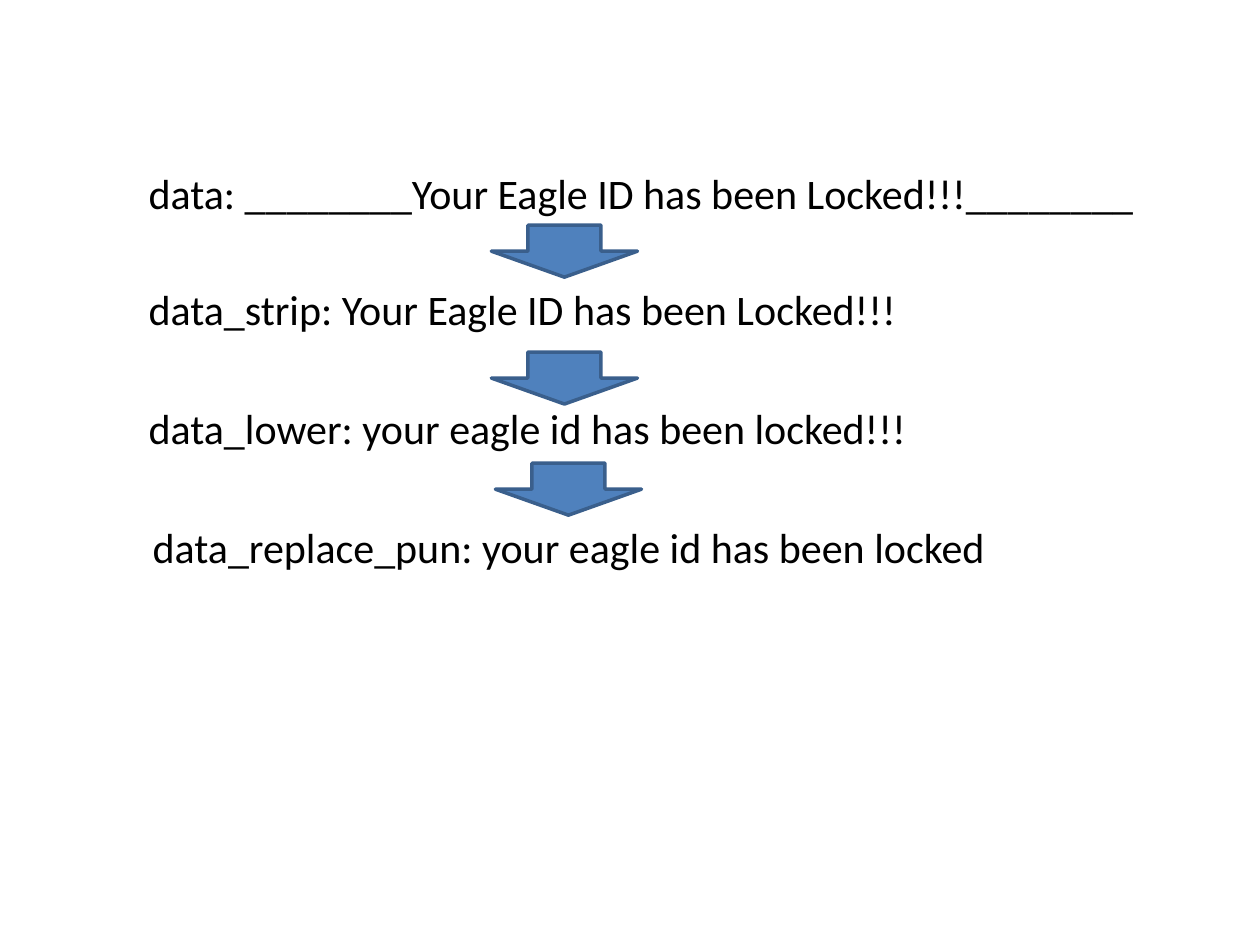
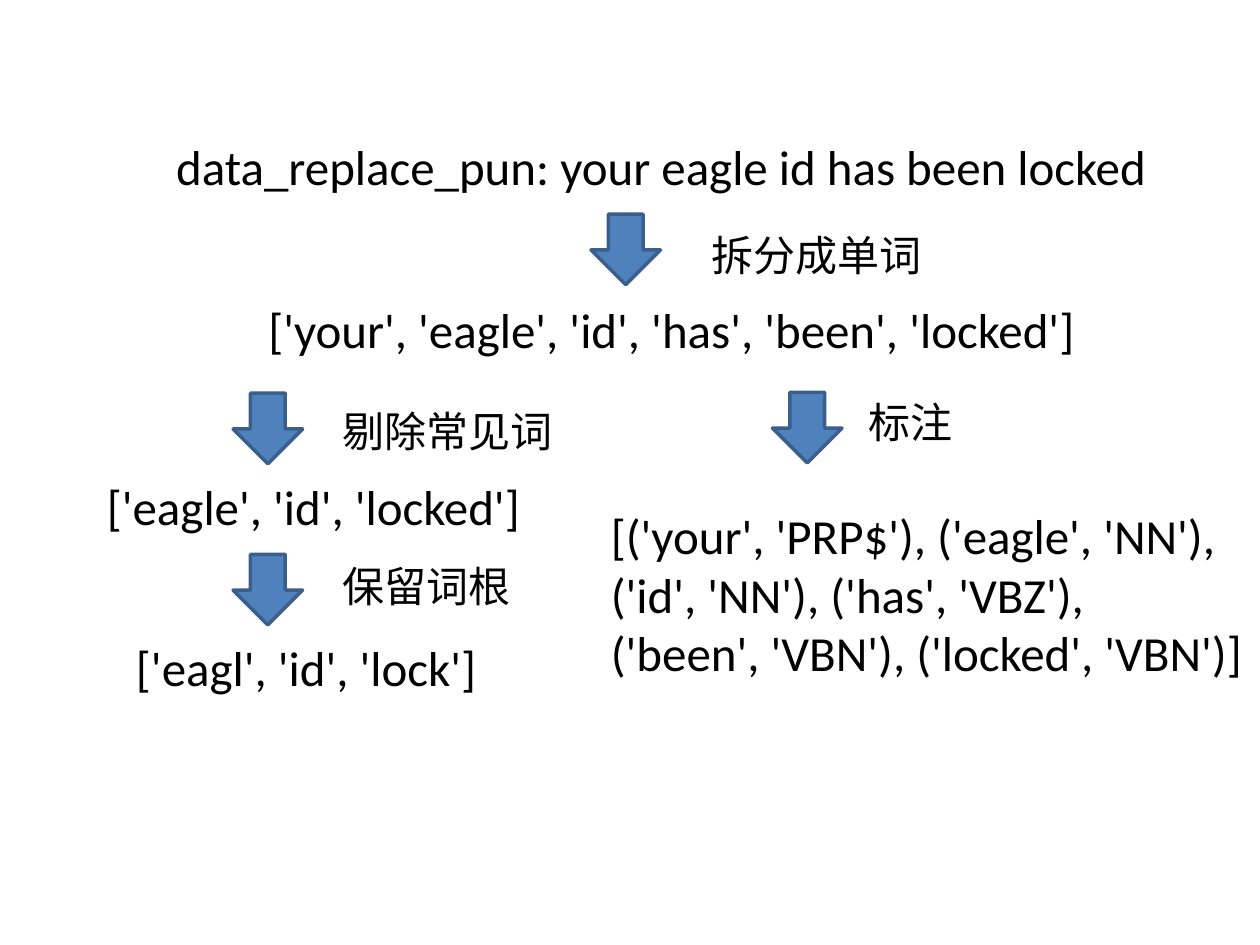
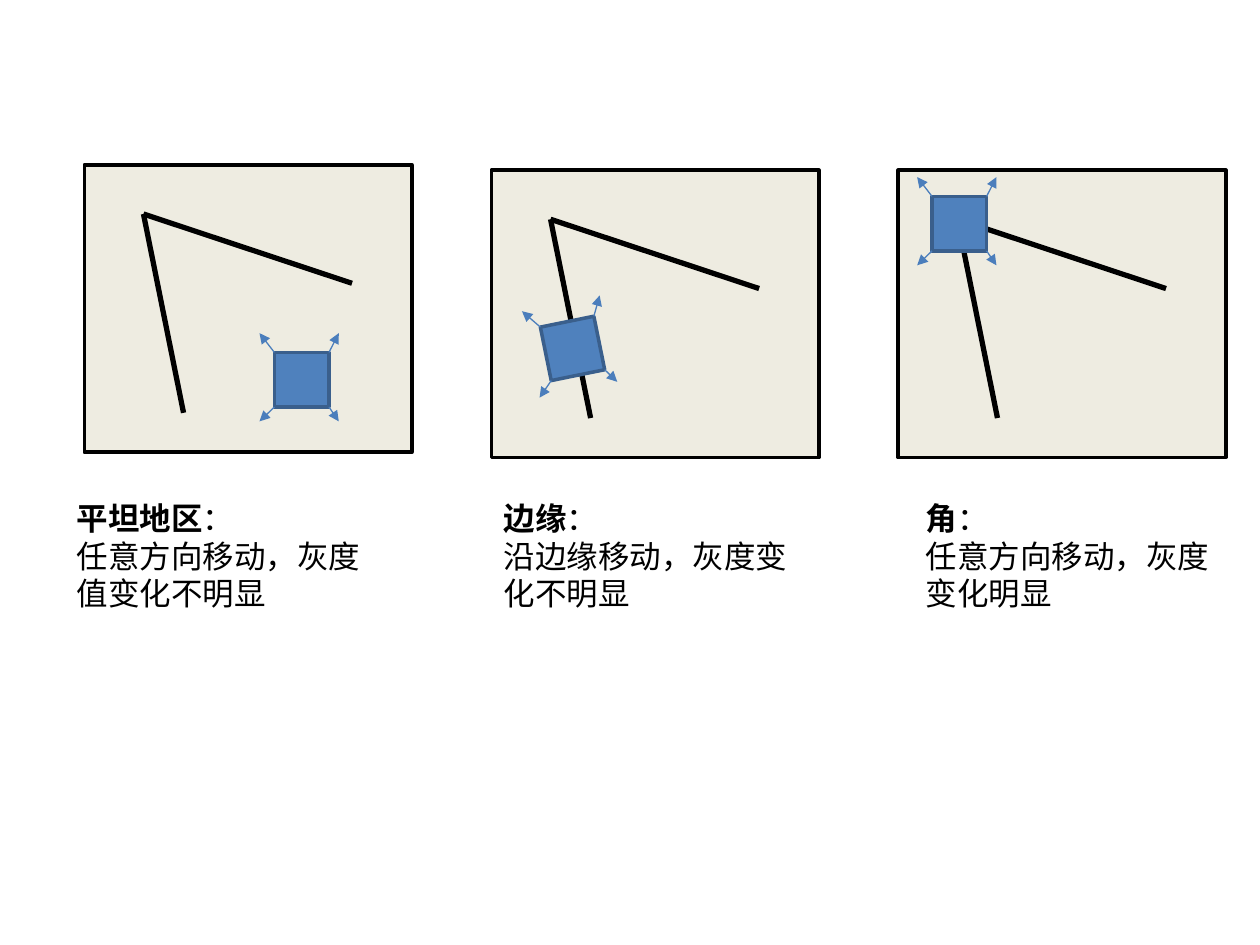
import math

import pptx
import pptx.util
from lxml import etree
from pptx.dml.color import RGBColor
from pptx.enum.shapes import MSO_CONNECTOR, MSO_SHAPE
from pptx.enum.text import MSO_AUTO_SIZE
from pptx.oxml.ns import qn

Pt = pptx.util.Pt
FONT = "Calibri"
BLACK, BLUE, NAVY, SKY, CREAM = "000000", "4F81BD", "3A5F8C", "4B7EBC", "EEECE1"


def rgb(hex_color):
    return RGBColor.from_string(hex_color)


def add_text(s, text, x, y, w, h, size=24, lead=""):
    """Add a text box, one paragraph a line; lead is a bold start to the first."""
    sp = s.shapes.add_textbox(Pt(x), Pt(y), Pt(w), Pt(h))
    tf = sp.text_frame
    tf.word_wrap = True
    tf.auto_size = MSO_AUTO_SIZE.SHAPE_TO_FIT_TEXT
    for i, line in enumerate(text.split("\n")):
        p = tf.add_paragraph() if i else tf.paragraphs[0]
        runs = [(line, False)]
        if lead and i == 0:
            runs.insert(0, (lead, True))
        for content, bold in runs:
            r = p.add_run()
            r.text = content
            r.font.name, r.font.size, r.font.bold = FONT, Pt(size), bold
            r.font.color.rgb = rgb(BLACK)


def add_shape(s, kind, x, y, w, h, fill=BLUE, line=NAVY):
    sp = s.shapes.add_shape(kind, Pt(x), Pt(y), Pt(w), Pt(h))
    sp.shadow.inherit = False
    sp.fill.solid()
    sp.fill.fore_color.rgb = rgb(fill)
    sp.line.color.rgb = rgb(line)
    sp.line.width = Pt(2)
    return sp


def add_line(s, start, end, color=BLACK, width=3, arrow=False):
    sp = s.shapes.add_connector(MSO_CONNECTOR.STRAIGHT, *map(Pt, (*start, *end)))
    sp.line.color.rgb = rgb(color)
    sp.line.width = Pt(width)
    if arrow:
        etree.SubElement(sp.line._get_or_add_ln(), qn("a:tailEnd"), type="triangle")
    etree.SubElement(sp._element.spPr, qn("a:effectLst"))


def add_cleaning_slide(s, x, y):
    steps = [
        ("data: ________Your Eagle ID has been Locked!!!________", 0, 0, 614),
        ("data_strip: Your Eagle ID has been Locked!!!", 0, 66.5, 572),
        ("data_lower: your eagle id has been locked!!!", 0, 134, 572),
        ("data_replace_pun: your eagle id has been locked", 2.3, 202.5, 572),
    ]
    for text, dx, dy, w in steps:
        add_text(s, text, x + dx, y + dy, w, 36)
    for dx, dy in [(203, 36.5), (203, 109), (205.3, 172.5)]:
        add_shape(s, MSO_SHAPE.DOWN_ARROW, x + dx, y + dy, 83.5, 29.7)


def add_token_slide(s, x, y):
    wide = 572
    tokens = [
        ("data_replace_pun: your eagle id has been locked", 39.6, 0, wide, 41),
        ("['your', 'eagle', 'id', 'has', 'been', 'locked']", 92.2, 93.5, wide, 41),
        ("['eagle', 'id', 'locked']", 0, 194.3, wide, 41),
        ("['eagl', 'id', 'lock']", 16.6, 286.5, wide, 41),
        ("[('your', 'PRP$'), ('eagle', 'NN'), ('id', 'NN'), ('has', 'VBZ'),\n"
         "('been', 'VBN'), ('locked', 'VBN')]", 288, 211, 393, 109),
    ]
    for text, dx, dy, w, h in tokens:
        add_text(s, text, x + dx, y + dy, w, h, size=28)
    operations = [
        ("拆分成单词", 345.6, 53.3, 206),
        ("剔除常见词", 134.6, 154, wide),
        ("保留词根", 134.6, 242.6, wide),
        ("标注", 435, 149, wide),
    ]
    for text, dx, dy, w in operations:
        add_text(s, text, x + dx, y + dy, w, 36)
    for dx, dy in [(283.7, 48.2), (79.2, 150.5), (79.2, 242.6), (387.4, 150)]:
        add_shape(s, MSO_SHAPE.DOWN_ARROW, x + dx, y + dy, 39.7, 40.3)


def add_window(s, cx, cy, angle):
    """Add a square centred at cx, cy with an arrow leaving each corner."""
    side = 31.2
    half = side / 2
    sp = add_shape(s, MSO_SHAPE.RECTANGLE, cx - half, cy - half, side, side)
    sp.rotation = angle
    cos, sin = math.cos(math.radians(angle)), math.sin(math.radians(angle))

    def turned(dx, dy):
        return cx + dx * cos - dy * sin, cy + dx * sin + dy * cos

    for sx, sy in [(-1, 1), (-1, -1), (1, -1), (1, 1)]:
        reach_x = 8.5 if sx < 0 else 5.6
        reach_y = 11 if sy < 0 else 8.2
        add_line(s, turned(sx * half, sy * half),
                 turned(sx * (half + reach_x), sy * (half + reach_y)),
                 color=SKY, width=0.75, arrow=True)


def add_corner_panel(s, x, y, window, angle):
    """Add a panel with two edges meeting in a corner and a detection window."""
    add_shape(s, MSO_SHAPE.RECTANGLE, x, y, 187.2, 164.2, fill=CREAM, line=BLACK)
    for dx, dy in [(153, 67.7), (56.7, 141.7)]:
        add_line(s, (x + 33.8, y + 28.1), (x + dx, y + dy))
    add_window(s, x + window[0], y + window[1], angle)


def add_corner_slide(s):
    panels = [
        (48.2, 94.2, (124.2, 122.8), 0, 36.7, "平坦地区", "任意方向移动，灰度值变化不明显"),
        (280.8, 97.2, (46.4, 101.9), 348.5, 280.8, "边缘", "沿边缘移动，灰度变化不明显"),
        (513.3, 97.2, (34.9, 30.6), 0, 522, "角", "任意方向移动，灰度变化明显"),
    ]
    for x, y, window, angle, caption_x, name, rule in panels:
        add_corner_panel(s, x, y, window, angle)
        add_text(s, "：\n" + rule, caption_x, 281.5, 187.2, 72.7, size=18, lead=name)


def main():
    prs = pptx.Presentation()
    prs.slide_width, prs.slide_height = Pt(720), Pt(540)
    cleaning, tokens, corners = (
        prs.slides.add_slide(prs.slide_layouts[6]) for _ in range(3))
    add_cleaning_slide(cleaning, 77.8, 92.2)
    add_token_slide(tokens, 54, 74.2)
    add_corner_slide(corners)
    prs.save("out.pptx")


if __name__ == "__main__":
    main()
